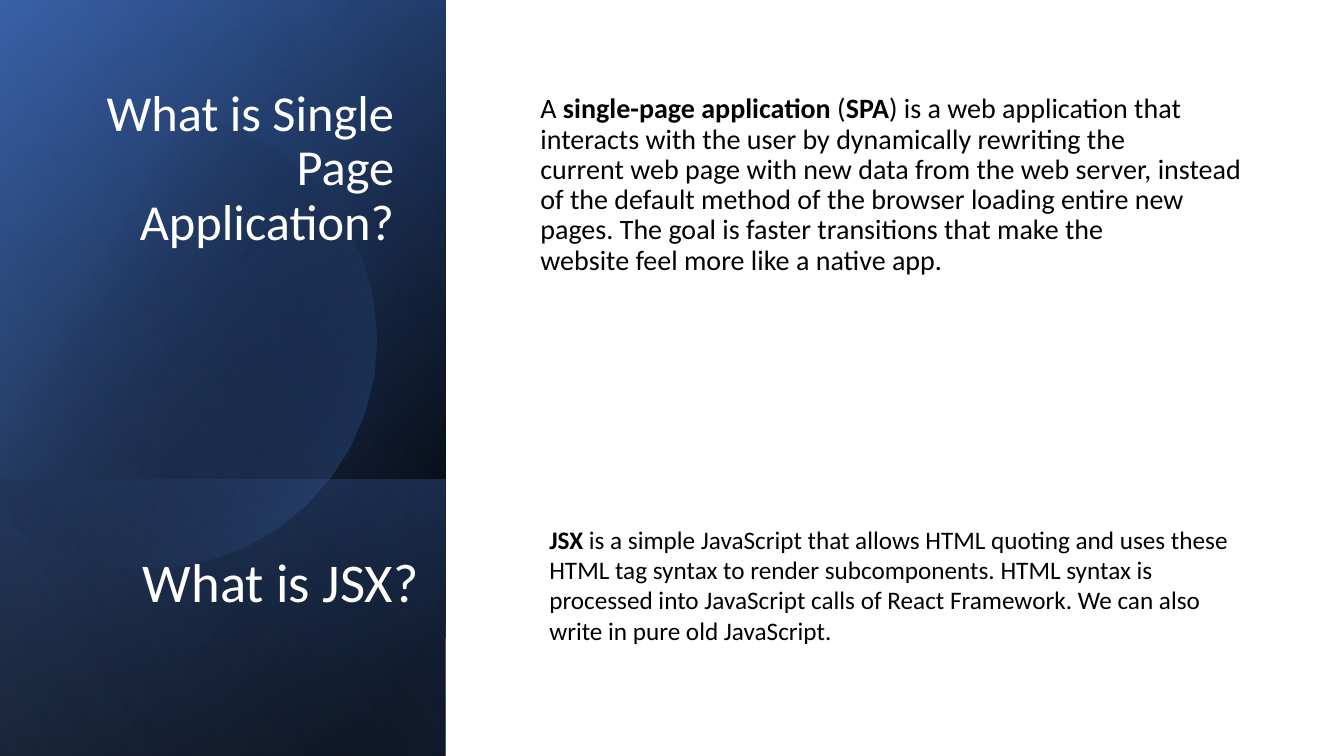
from dataclasses import dataclass
from math import acos, cos, sin

from lxml.etree import SubElement
from pptx import Presentation
from pptx.dml.color import RGBColor
from pptx.enum.shapes import MSO_SHAPE as Preset
from pptx.enum.text import MSO_ANCHOR as Anchor, MSO_AUTO_SIZE as AutoSize, PP_ALIGN as Align
from pptx.oxml.ns import qn
from pptx.util import Inches, Pt


@dataclass(frozen=True)
class Theme:
    font: str = "Calibri"
    white: str = "FFFFFF"
    black: str = "000000"
    navy: str = "2F5597"
    blue: str = "4472C4"
    pale_blue: str = "8FAADC"
    title_size: int = 36
    subtitle_size: int = 39
    body_size: int = 20
    note_size: int = 18


@dataclass(frozen=True)
class Stop:
    position: float
    color: str
    opacity: int = 100


@dataclass(frozen=True)
class Gradient:
    start: Stop
    end: Stop
    angle: int


@dataclass(frozen=True)
class Panel:
    top: float
    height: float
    gradient: Gradient


@dataclass(frozen=True)
class Box:
    left: float
    top: float
    width: float
    height: float


THEME = Theme()
SLIDE_WIDTH, SLIDE_HEIGHT = 13.33, 7.5
SIDEBAR_WIDTH = 4.42
CIRCLE_X, CIRCLE_Y, CIRCLE_RADIUS = 1.46, 3.37, 2.27
ARC_STEPS = 28
NBSP = chr(160)

BACK_PANELS = [
    Panel(0, SLIDE_HEIGHT, Gradient(Stop(0.08, THEME.black), Stop(1, THEME.navy), 50)),
    Panel(0, SLIDE_HEIGHT, Gradient(Stop(0, THEME.black, 0), Stop(0.99, THEME.blue, 46), 30)),
    Panel(4.76, 2.74, Gradient(Stop(0.02, THEME.blue, 29), Stop(1, THEME.black, 30), 130)),
]
CIRCLE_GRADIENT = Gradient(Stop(0.29, THEME.black, 0), Stop(1, THEME.blue, 43), 30)
FRONT_PANEL = Panel(0, SLIDE_HEIGHT, Gradient(Stop(0, THEME.black, 0), Stop(0.99, THEME.pale_blue, 11), 120))

SPA_RUNS = [
    (f"A{NBSP}", False),
    ("single-page application", True),
    (f"{NBSP}(", False),
    ("SPA", True),
    (f") is a{NBSP}web application{NBSP}that interacts with the user by dynamically rewriting the "
     f"current{NBSP}web page with new data from the{NBSP}web server, instead of the default method of "
     "the browser loading entire new pages. The goal is faster transitions that make the "
     f"website{NBSP}feel{NBSP}more like a{NBSP}native app.", False),
]
JSX_RUNS = [
    ("JSX", True),
    (" is a simple JavaScript that allows HTML quoting and uses these HTML tag syntax to "
     "render subcomponents. HTML syntax is processed into JavaScript calls of React "
     "Framework. We can also write in pure old JavaScript.", False),
]


def clear_outline(shape) -> None:
    shape.shadow.inherit = False
    shape.line.fill.background()


def fill_gradient(shape, gradient: Gradient) -> None:
    clear_outline(shape)
    shape.fill.gradient()
    shape.fill.gradient_angle = 360 - gradient.angle
    stops = (gradient.start, gradient.end)
    for target, stop in zip(shape.fill.gradient_stops, stops):
        target.position = stop.position
        target.color.rgb = RGBColor.from_string(stop.color)
    colors = shape._element.spPr.findall(".//" + qn("a:srgbClr"))
    for color, stop in zip(colors, stops):
        if stop.opacity < 100:
            SubElement(color, qn("a:alpha")).set("val", str(stop.opacity * 1000))


def add_panel(slide, panel: Panel) -> None:
    left = (SIDEBAR_WIDTH - panel.height) / 2
    top = panel.top + (panel.height - SIDEBAR_WIDTH) / 2
    shape = slide.shapes.add_shape(
        Preset.RECTANGLE, Inches(left), Inches(top), Inches(panel.height), Inches(SIDEBAR_WIDTH))
    shape.rotation = 90
    shape._element.spPr.find(qn("a:xfrm")).set("flipH", "1")
    fill_gradient(shape, panel.gradient)


def add_circle(slide) -> None:
    limit = acos(-CIRCLE_X / CIRCLE_RADIUS)
    angles = [limit * (2 * step / ARC_STEPS - 1) for step in range(ARC_STEPS + 1)]
    points = [(Inches(CIRCLE_X + CIRCLE_RADIUS * cos(angle)),
               Inches(CIRCLE_Y + CIRCLE_RADIUS * sin(angle))) for angle in angles]
    builder = slide.shapes.build_freeform(*points[0])
    builder.add_line_segments(points[1:], close=True)
    fill_gradient(builder.convert_to_shape(), CIRCLE_GRADIENT)


def write_text(shape, box: Box, runs: list[tuple[str, bool]], *, size: int, color: str,
               align=Align.LEFT, anchor=Anchor.TOP, line_spacing: float = 1.0,
               space_before: int = 0, auto_size=AutoSize.NONE) -> None:
    shape.left, shape.top = Inches(box.left), Inches(box.top)
    shape.width, shape.height = Inches(box.width), Inches(box.height)
    frame = shape.text_frame
    frame.word_wrap = True
    frame.auto_size = auto_size
    frame.vertical_anchor = anchor
    paragraph = frame.paragraphs[0]
    paragraph.alignment = align
    paragraph.line_spacing = line_spacing
    paragraph.space_before = Pt(space_before)
    for text, bold in runs:
        run = paragraph.add_run()
        run.text = text
        run.font.name = THEME.font
        run.font.size = Pt(size)
        run.font.bold = bold
        run.font.color.rgb = RGBColor.from_string(color)


def remove_bullet(shape) -> None:
    properties = shape.text_frame.paragraphs[0]._p.get_or_add_pPr()
    properties.set("marL", "0")
    properties.set("indent", "0")
    SubElement(properties, qn("a:buNone"))


def main() -> None:
    presentation = Presentation()
    presentation.slide_width = Inches(SLIDE_WIDTH)
    presentation.slide_height = Inches(SLIDE_HEIGHT)
    slide = presentation.slides.add_slide(presentation.slide_layouts[1])
    title, body = slide.placeholders

    backdrop = slide.shapes.add_shape(
        Preset.RECTANGLE, 0, 0, presentation.slide_width, presentation.slide_height)
    clear_outline(backdrop)
    backdrop.fill.solid()
    backdrop.fill.fore_color.rgb = RGBColor.from_string(THEME.white)
    for panel in BACK_PANELS:
        add_panel(slide, panel)
    add_circle(slide)
    add_panel(slide, FRONT_PANEL)

    for placeholder in (title, body):
        slide.shapes._spTree.append(placeholder._element)
    write_text(title, Box(0.51, 0.64, 3.5, 1.9), [("What is Single Page Application?", False)],
               size=THEME.title_size, color=THEME.white, align=Align.RIGHT,
               anchor=Anchor.BOTTOM, line_spacing=0.9)
    write_text(body, Box(5.26, 0.71, 7.17, 2.26), SPA_RUNS, size=THEME.body_size,
               color=THEME.black, anchor=Anchor.MIDDLE, line_spacing=0.9, space_before=10)
    remove_bullet(body)

    subtitle, note = (slide.shapes.add_textbox(0, 0, 0, 0) for _ in range(2))
    write_text(subtitle, Box(1.32, 4.24, 2.94, 1.9), [("What is JSX?", False)],
               size=THEME.subtitle_size, color=THEME.white, anchor=Anchor.BOTTOM, line_spacing=0.9)
    write_text(note, Box(5.35, 5.15, 7.14, 1.62), JSX_RUNS, size=THEME.note_size,
               color=THEME.black, auto_size=AutoSize.SHAPE_TO_FIT_TEXT)

    presentation.save("out.pptx")


if __name__ == "__main__":
    main()
